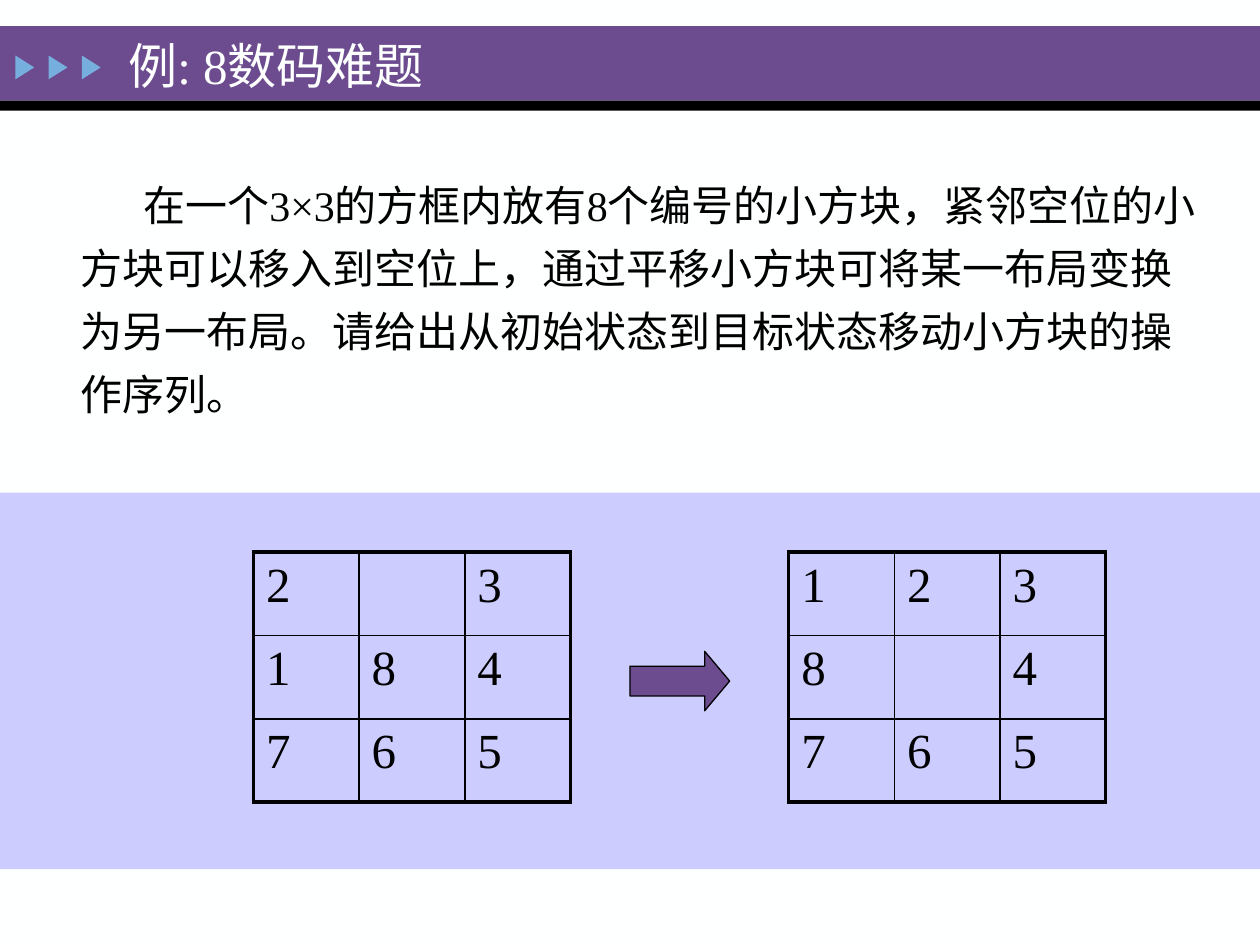
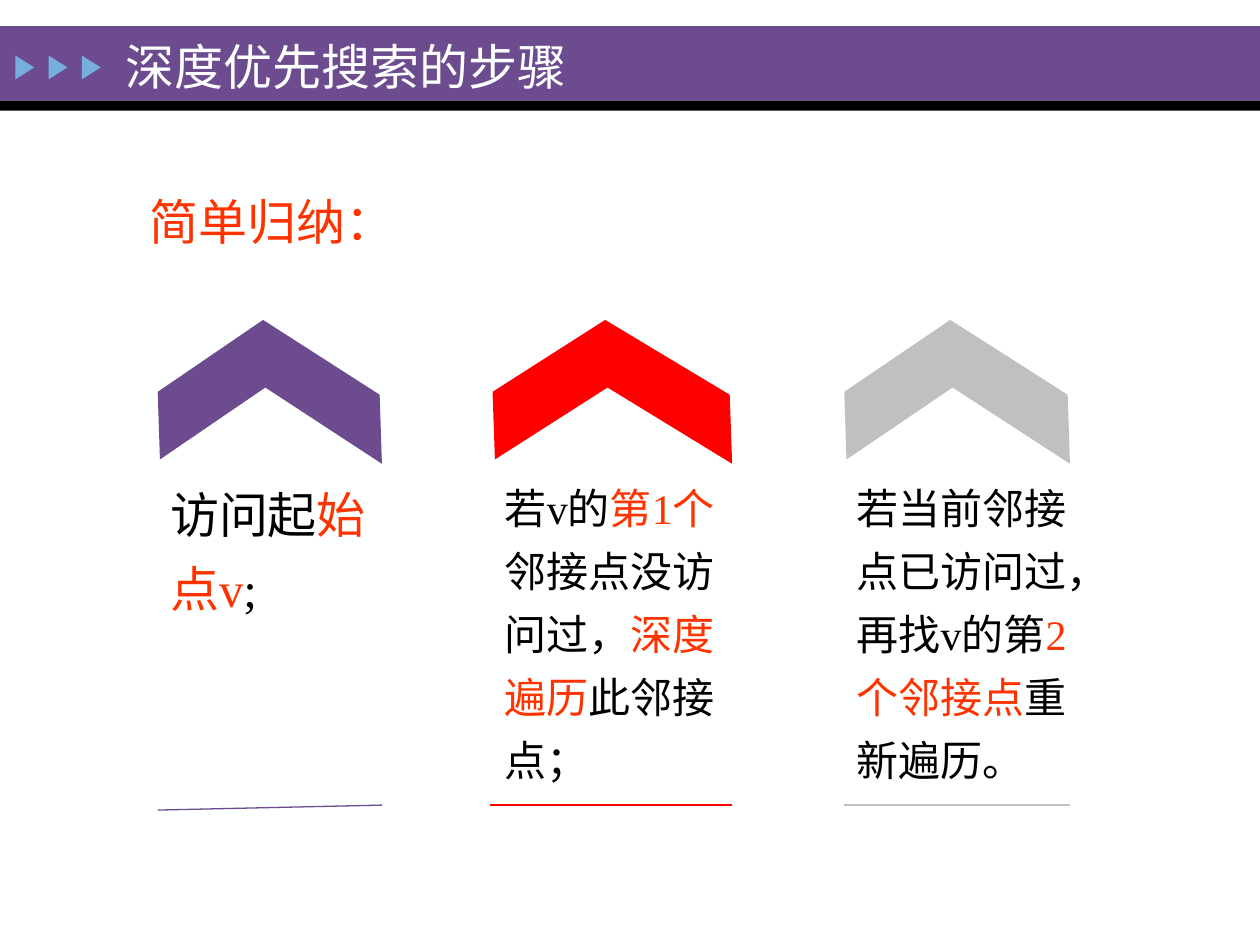
from lxml import etree
from pptx import Presentation
from pptx.dml.color import RGBColor
from pptx.enum.lang import MSO_LANGUAGE_ID
from pptx.enum.shapes import MSO_CONNECTOR, MSO_SHAPE
from pptx.enum.text import MSO_ANCHOR
from pptx.oxml import parse_xml
from pptx.oxml.ns import nsdecls, qn
from pptx.util import Cm, Pt

COLORS = {
    "paper": "FEFFFF", "purple": "6C4C8F", "black": "000000", "sky": "76AEDD",
    "lilac": "CCCCFF", "accent": "FF3300", "red": "FF0000", "gray": "C0C0C0",
}
FONT = "Times New Roman"
SLIDE_W, SLIDE_H = 25.4, 19.05
CELL_W, CELL_H = 2.13, 1.68
CHEVRON_TOP, CHEVRON_H = 6.45, 2.9
CHEVRON = [(0.99, 0.52), (1, 1), (0.48, 0.47), (0.01, 0.97), (0, 0.5), (0.47, 0)]
STEP_TEXT_TOP, STEP_LINE_TOP = 9.35, 16.23


def rgb(name):
    """Return the palette colour called name."""
    return RGBColor.from_string(COLORS[name])


def paint(sp, fill, line=None):
    """Give a shape a flat fill and an optional thin outline."""
    sp.shadow.inherit = False
    sp.fill.solid()
    sp.fill.fore_color.rgb = rgb(fill)
    if line:
        sp.line.color.rgb = rgb(line)
        sp.line.width = Pt(0.75)
    else:
        sp.line.fill.background()


def add_shape(s, kind, box, fill, line=None):
    """Add a preset shape in a box given in centimetres."""
    sp = s.shapes.add_shape(kind, *map(Cm, box))
    paint(sp, fill, line)
    return sp


def style_run(r, size, color):
    """Set the font of one run."""
    r.font.name = FONT
    r.font.size = Pt(size)
    r.font.color.rgb = rgb(color)
    r.font.language_id = MSO_LANGUAGE_ID.SIMPLIFIED_CHINESE


def add_text(s, box, runs, size, spacing=None, anchor=MSO_ANCHOR.TOP):
    """Add a text box of (text, colour) runs and return its paragraph."""
    tf = s.shapes.add_textbox(*map(Cm, box)).text_frame
    tf.word_wrap = True
    tf.vertical_anchor = anchor
    p = tf.paragraphs[0]
    p.line_spacing = spacing
    for text, color in runs:
        r = p.add_run()
        r.text = text
        style_run(r, size, color)
    return p


def add_slide(prs, title, title_box):
    """Add a slide with the title band, its three markers and the title."""
    s = prs.slides.add_slide(prs.slide_layouts[6])
    s.background.fill.solid()
    s.background.fill.fore_color.rgb = rgb("paper")
    add_shape(s, MSO_SHAPE.RECTANGLE, (0, 0.53, SLIDE_W, 1.5), "purple")
    add_shape(s, MSO_SHAPE.RECTANGLE, (0, 2.03, SLIDE_W, 0.2), "black")
    for i in range(3):
        box = (0.26 + 0.67 * i, 1.17, 0.48, 0.38)
        add_shape(s, MSO_SHAPE.ISOSCELES_TRIANGLE, box, "sky").rotation = 90
    add_text(s, title_box, [(title, "paper")], 28, anchor=MSO_ANCHOR.MIDDLE)
    return s


def set_borders(cell, row, col, last):
    """Draw thick lines on the outer edges of a grid and thin ones inside."""
    outer = {"L": col == 0, "R": col == last, "T": row == 0, "B": row == last}
    for i, (side, thick) in enumerate(outer.items()):
        ln = parse_xml(
            f'<a:ln{side} {nsdecls("a")} w="{Pt(2.25 if thick else 1)}">'
            f'<a:solidFill><a:srgbClr val="{COLORS["black"]}"/></a:solidFill>'
            f'</a:ln{side}>')
        cell._tc.get_or_add_tcPr().insert(i, ln)


def add_puzzle(s, left, top, rows):
    """Add a square puzzle board, with a space for the empty place."""
    n = len(rows)
    box = (left, top, n * CELL_W, n * CELL_H)
    table = s.shapes.add_table(n, n, *map(Cm, box)).table
    table.first_row = table.horz_banding = False
    for i, row in enumerate(rows):
        table.rows[i].height = Cm(CELL_H)
        table.columns[i].width = Cm(CELL_W)
        for j, tile in enumerate(row):
            cell = table.cell(i, j)
            cell.fill.background()
            set_borders(cell, i, j, n - 1)
            cell.text_frame.text = tile.strip()
            for r in cell.text_frame.paragraphs[0].runs:
                style_run(r, 28, "black")


def add_line(s, start, end, color):
    """Add a thin straight line between two points in centimetres."""
    line = s.shapes.add_connector(MSO_CONNECTOR.STRAIGHT, *map(Cm, start + end))
    line.line.color.rgb = rgb(color)
    line.line.width = Pt(0.75)
    etree.SubElement(line._element.spPr, qn("a:effectLst"))


def add_step(s, left, width, color, runs, size, text_w, line_left, line_drop=0):
    """Add one step: a chevron, its text and a closing line."""
    points = [(Cm(left + x * width), Cm(CHEVRON_TOP + y * CHEVRON_H))
              for x, y in CHEVRON]
    builder = s.shapes.build_freeform(*points[0])
    builder.add_line_segments(points[1:], close=True)
    paint(builder.convert_to_shape(), color)
    add_line(s, (left + width, STEP_LINE_TOP),
             (line_left, STEP_LINE_TOP + line_drop), color)
    add_text(s, (left, STEP_TEXT_TOP, text_w, 6.65), runs, size, 1.25)


def build_puzzle_slide(prs):
    """Build the slide that states the 8-puzzle."""
    s = add_slide(prs, "例: 8数码难题", (2.34, 0.18, 11.58, 2.24))
    add_shape(s, MSO_SHAPE.RECTANGLE, (0, 9.93, SLIDE_W, 7.59), "lilac")
    task = ("在一个3×3的方框内放有8个编号的小方块，紧邻空位的小方块可以移入到空位上，"
            "通过平移小方块可将某一布局变换为另一布局。"
            "请给出从初始状态到目标状态移动小方块的操作序列。")
    p = add_text(s, (1.37, 3.25, 23.06, 5.46), [(task, "black")], 24, 1.25)
    p._p.get_or_add_pPr().set("indent", str(Cm(1.27)))
    add_puzzle(s, 5.11, 11.13, ["2 3", "184", "765"])
    add_puzzle(s, 15.9, 11.13, ["123", "8 4", "765"])
    arrow = add_shape(s, MSO_SHAPE.RIGHT_ARROW, (12.7, 13.13, 2.01, 1.2),
                      "purple", "black")
    arrow.adjustments[0] = 0.5
    arrow.adjustments[1] = 0.42


def build_steps_slide(prs):
    """Build the slide that sums up depth-first search in three steps."""
    s = add_slide(prs, "深度优先搜索的步骤", (2.29, 0.61, 14.2, 1.42))
    add_text(s, (2.77, 3.45, 22.53, 1.63), [("简单归纳：", "accent")], 28, 1.25)
    visit = [("访问起", "black"), ("始点v", "accent"), (";", "black")]
    descend = [("若v的", "black"), ("第1个", "accent"), ("邻接点没访问过，", "black"),
               ("深度遍历", "accent"), ("此邻接点；", "black")]
    advance = [("若当前邻接点已访问过，再找v的第", "black"),
               ("2个邻接点", "accent"), ("重新遍历。", "black")]
    add_step(s, 3.18, 4.52, "purple", visit, 28, 4.52, 3.18, 0.1)
    add_step(s, 9.93, 4.83, "red", descend, 24, 4.83, 9.88)
    add_step(s, 17.02, 4.55, "gray", advance, 24, 4.95, 17.02)


def main():
    """Build and save the presentation."""
    prs = Presentation()
    prs.slide_width, prs.slide_height = Cm(SLIDE_W), Cm(SLIDE_H)
    build_puzzle_slide(prs)
    build_steps_slide(prs)
    prs.save("out.pptx")


if __name__ == "__main__":
    main()
